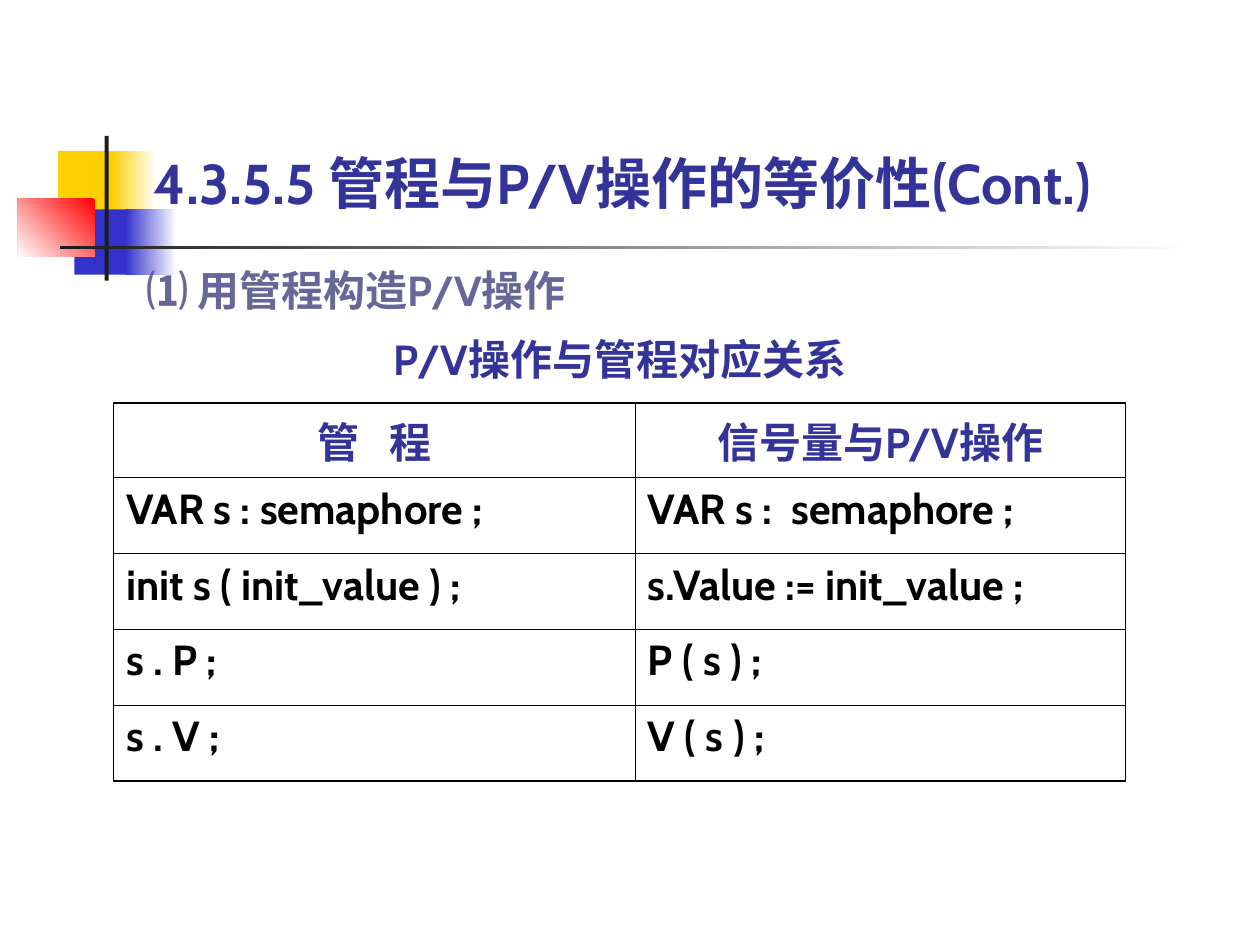
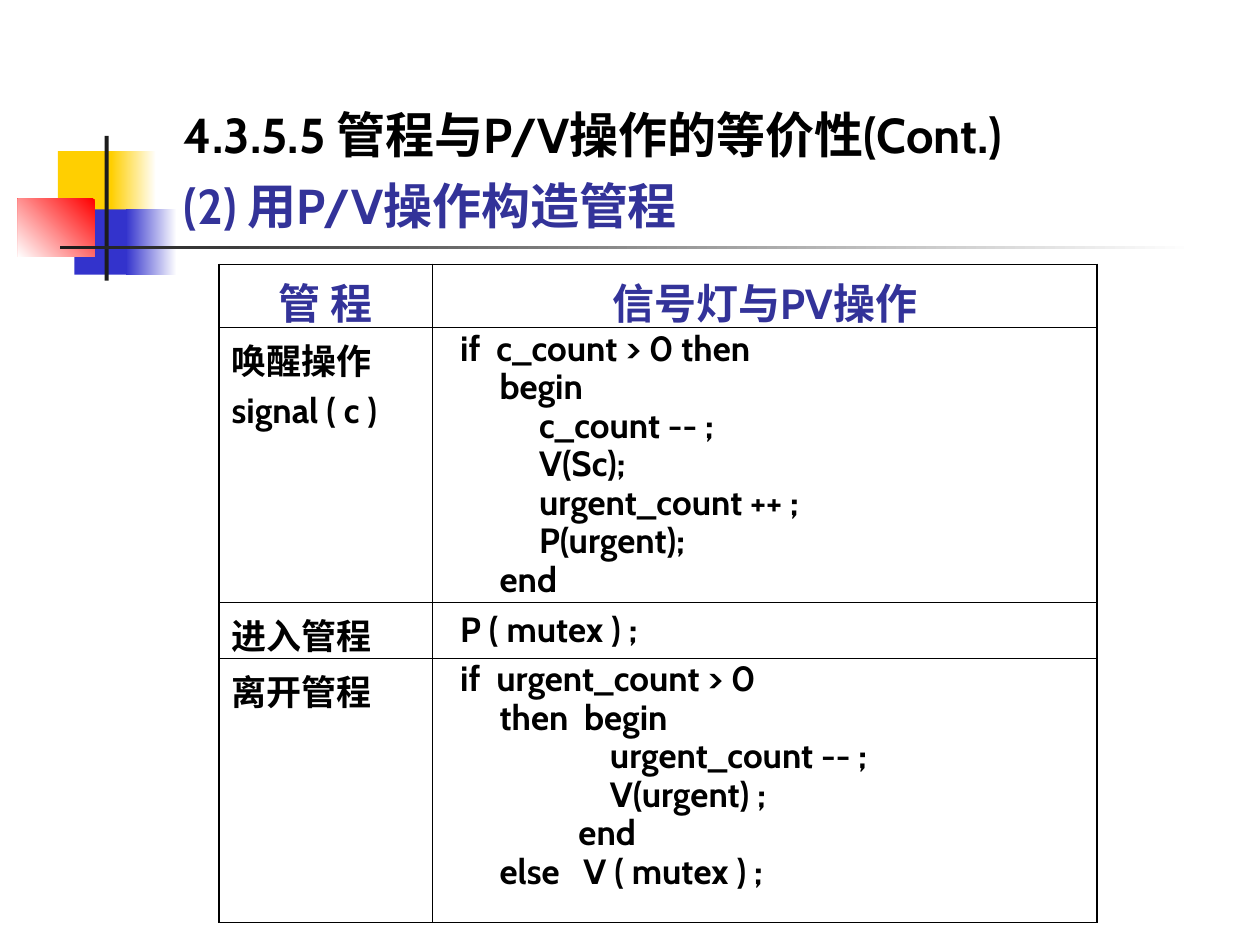
import pptx
import pptx.util
import pptx.dml.color
import pptx.enum.shapes
import pptx.enum.text
import pptx.oxml.ns
import lxml.etree

Cm, Pt = pptx.util.Cm, pptx.util.Pt
ALIGN = pptx.enum.text.PP_ALIGN
ANCHOR = pptx.enum.text.MSO_ANCHOR
NAVY, GREY, BLACK, WHITE = "333399", "666699", "000000", "FFFFFF"
GOLD, BLUE, RED, DARK = "FFCF01", "3333CC", "FF0000", "1C1C1C"
THICK, THIN = Pt(1.08), Pt(0.45)

# left, top, width, height, fill colours, gradient angle
MOTIF = [
    (1.17, 3.05, 1.22, 1.32, [GOLD], 0),
    (2.24, 3.05, 0.91, 1.32, [WHITE, GOLD], 180),
    (1.5, 4.22, 1.17, 1.32, [BLUE], 0),
    (2.54, 4.22, 1.02, 1.32, [WHITE, BLUE], 180),
    (0.36, 4.01, 1.55, 1.17, [RED, WHITE], 225),
    (2.11, 2.74, 0.08, 2.92, [DARK], 0),
    (1.22, 4.95, 22.86, 0.08, [WHITE, DARK], 180),
]

SIGNAL = """\
  if  c_count > 0 then
       begin
            c_count -- ;
            V(Sc);
            urgent_count ++ ;
            P(urgent);
       end"""

LEAVE = """\
  if  urgent_count > 0
       then  begin
                     urgent_count -- ;
                     V(urgent) ;
                 end
       else   V ( mutex ) ;"""


def tint(code):
    return pptx.dml.color.RGBColor.from_string(code)


def put(item, values):
    for name, value in values.items():
        setattr(item, name, value)


class Deck:
    """Holds the text style and the slide being filled."""

    font = {"name": "Cabin", "bold": True}

    def __init__(self):
        self.file = pptx.Presentation()
        put(self.file, {"slide_width": Cm(25.4), "slide_height": Cm(19.05)})

    def slide(self):
        self.page = self.file.slides.add_slide(self.file.slide_layouts[6])
        for *box, shades, angle in MOTIF:
            self.block(box, shades, angle)

    def block(self, box, shades, angle):
        """Draw a borderless rectangle, plain or shaded from one colour to the next."""
        kind = pptx.enum.shapes.MSO_SHAPE.RECTANGLE
        shape = self.page.shapes.add_shape(kind, *map(Cm, box))
        shape.shadow.inherit = False
        shape.line.fill.background()
        if len(shades) == 1:
            shape.fill.solid()
            shape.fill.fore_color.rgb = tint(shades[0])
            return
        shape.fill.gradient()
        shape.fill.gradient_angle = angle
        for stop, shade in zip(shape.fill.gradient_stops, shades):
            stop.color.rgb = tint(shade)

    def words(self, para, text, size, shade, gap=0):
        """Add a run, its letters spread by gap points."""
        run = para.add_run()
        run.text = text
        put(run.font, {**self.font, "size": Pt(size)})
        run.font.color.rgb = tint(shade)
        if gap:
            run._r.get_or_add_rPr().set("spc", str(gap * 100))

    def text(self, box, lines, size, form=None, anchor=ANCHOR.TOP):
        """Fill one paragraph with lines of (text, colour)."""
        frame = self.page.shapes.add_textbox(*map(Cm, box)).text_frame
        put(frame, {"word_wrap": True, "vertical_anchor": anchor,
                    "margin_left": 0, "margin_right": 0,
                    "margin_top": 0, "margin_bottom": 0})
        para = frame.paragraphs[0]
        put(para, form or {})
        for num, (line, shade) in enumerate(lines):
            if num:
                para.add_line_break()
            self.words(para, line, size, shade)

    def title(self, box, lines, size):
        self.text(box, lines, size, {"line_spacing": 1.2}, ANCHOR.BOTTOM)

    def edge(self, cell, widths):
        """Rule the left, right, top and bottom sides of a cell."""
        props = cell._tc.get_or_add_tcPr()
        qn = pptx.oxml.ns.qn
        for num, (side, width) in enumerate(zip("LRTB", widths)):
            line = lxml.etree.Element(qn(f"a:ln{side}"), w=str(int(width)))
            fill = lxml.etree.SubElement(line, qn("a:solidFill"))
            lxml.etree.SubElement(fill, qn("a:srgbClr"), val=BLACK)
            props.insert(num, line)

    def fill(self, cell, text, size, head, gap):
        for num, line in enumerate(text.split("\n")):
            frame = cell.text_frame
            para = frame.add_paragraph() if num else frame.paragraphs[0]
            form = {"alignment": ALIGN.CENTER if head else ALIGN.LEFT}
            if num:
                form["space_before"] = Pt(2.5)
            if text in (SIGNAL, LEAVE):
                form["line_spacing"] = 0.8
            put(para, form)
            self.words(para, line, 24 if head else size,
                       NAVY if head else BLACK, gap)

    def table(self, spot, cols, highs, rows, size, left=THICK, heavy=(), gap=0):
        """Draw a two-column grid; heavy lists the rows with a thick divider."""
        room = map(Cm, (*spot, sum(cols), sum(highs)))
        grid = self.page.shapes.add_table(len(rows), 2, *room).table
        put(grid, {"first_row": False, "horz_banding": False})
        for col, width in zip(grid.columns, cols):
            col.width = Cm(width)
        last = len(rows) - 1
        for r, (row, high) in enumerate(zip(rows, highs)):
            grid.rows[r].height = Cm(high)
            mid = THICK if r in heavy else THIN
            for c, text in enumerate(row):
                cell = grid.cell(r, c)
                put(cell, {"margin_left": Cm(0.25), "margin_right": Cm(0.25),
                           "margin_top": Cm(0.13), "margin_bottom": Cm(0.13)})
                cell.fill.background()
                self.edge(cell, (mid if c else left, THICK if c else mid,
                                 THIN if r else THICK,
                                 THICK if r == last else THIN))
                self.fill(cell, text, size, r == 0, gap if r == c == 0 else 0)


def main():
    deck = Deck()
    topic = "4.3.5.5 管程与P/V操作的等价性(Cont.)"

    deck.slide()
    deck.table((2.29, 8.13), (10.52, 9.88), [1.42] + [1.53] * 4, [
        ("管 程", "信号量与P/V操作"),
        ("VAR s : semaphore ;", "VAR s :  semaphore ;"),
        ("init s ( init_value ) ;", "s.Value := init_value ;"),
        ("s . P ;", "P ( s ) ;"),
        ("s . V ;", "V ( s ) ;"),
    ], 24, left=THIN, heavy=(0, 4), gap=6)
    deck.title((3.1, 1.09, 21, 3.25), [(topic, NAVY)], 32)
    deck.text((7.7, 6.73, 9.6, 1.02), [("P/V操作与管程对应关系", NAVY)], 24,
              {"alignment": ALIGN.CENTER})
    deck.text((2.95, 5.33, 10.54, 1.02), [("⑴ 用管程构造P/V操作", GREY)], 24)

    deck.slide()
    deck.table((4.42, 5.33), (4.29, 13.41), (1.27, 5.54, 1.12, 5.33), [
        ("管 程", "信号灯与PV操作"),
        ("唤醒操作\nsignal ( c )", SIGNAL),
        ("进入管程", "  P ( mutex ) ;"),
        ("离开管程", LEAVE),
    ], 20)
    deck.title((3.71, 1.88, 18.59, 2.84),
               [(topic, BLACK), ("(2) 用P/V操作构造管程", NAVY)], 28)

    deck.file.save("out.pptx")


if __name__ == "__main__":
    main()
